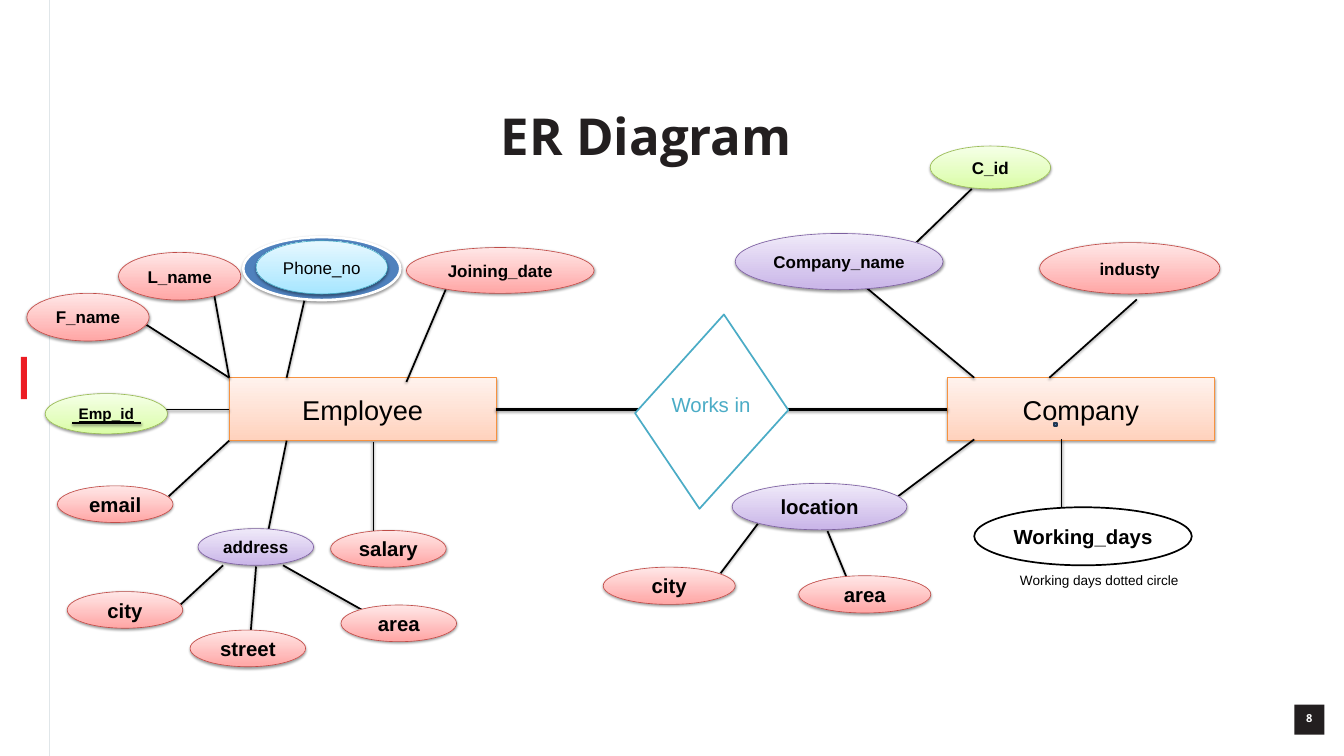
"""Build the employee and company ER diagram slide."""
from pptx import Presentation
from pptx.dml.color import RGBColor
from pptx.enum.shapes import MSO_CONNECTOR, MSO_SHAPE
from pptx.enum.text import MSO_ANCHOR, PP_ALIGN
from pptx.oxml import parse_xml
from pptx.util import Inches, Pt

RECTANGLE, OVAL = MSO_SHAPE.RECTANGLE, MSO_SHAPE.OVAL
PARALLELOGRAM, STRAIGHT = MSO_SHAPE.PARALLELOGRAM, MSO_CONNECTOR.STRAIGHT
TOP, MIDDLE = MSO_ANCHOR.TOP, MSO_ANCHOR.MIDDLE
LEFT, CENTER = PP_ALIGN.LEFT, PP_ALIGN.CENTER

NAMESPACE = "http://schemas.openxmlformats.org/drawingml/2006/main"
SHADOW = ('<a:outerShdw blurRad="40000" dist="20000" dir="5400000" rotWithShape="0">'
          '<a:srgbClr val="000000"><a:alpha val="38000"/></a:srgbClr></a:outerShdw>')

ENTITY = (("FFD2BD", "FFF2ED"), "F69240", 0.75)
SIMPLE = (("FFA6A5", "FFE7E7"), "BF4C48", 0.75)
COMPOSITE = (("C9B5E8", "F0EAF9"), "7D60A0", 0.75)
KEY = (("DAFDA7", "F5FFE7"), "98B955", 0.75)
MULTIVALUED = (("A7E6FF", "E7F8FF"), "46AAC5", 0.75)
MULTIVALUED_RING = ("4F81BD", "FFFFFF", 3)
DERIVED = ("FFFFFF", "000000", 2)
RELATIONSHIP = ("FFFFFF", "4BACC6", 2)

ENTITIES = [("Employee", 3.75), ("Company", 15.5)]
ATTRIBUTES = [
    ("F_name", SIMPLE, 0.44, 4.8, 2, 0.78, 20),
    ("L_name", SIMPLE, 1.94, 4.13, 2, 0.78, 20),
    ("Joining_date", SIMPLE, 6.65, 4.05, 3.07, 0.75, 20),
    ("Emp_id", KEY, 0.74, 6.44, 2, 0.66, 18),
    ("email", SIMPLE, 0.94, 7.95, 1.89, 0.6, 24),
    ("address", COMPOSITE, 3.24, 8.65, 1.89, 0.6, 20),
    ("salary", SIMPLE, 5.41, 8.68, 1.89, 0.6, 24),
    ("city", SIMPLE, 1.1, 9.68, 1.89, 0.6, 24),
    ("street", SIMPLE, 3.11, 10.31, 1.89, 0.6, 24),
    ("area", SIMPLE, 5.58, 9.9, 1.89, 0.6, 24),
    ("C_id", KEY, 15.22, 2.39, 1.97, 0.7, 20),
    ("Company_name", COMPOSITE, 12.03, 3.82, 3.4, 0.92, 20),
    ("industy", SIMPLE, 17.01, 3.97, 2.95, 0.84, 20),
    ("location", COMPOSITE, 11.98, 7.91, 2.86, 0.76, 24),
    ("city", SIMPLE, 9.87, 9.28, 2.16, 0.61, 24),
    ("area", SIMPLE, 13.07, 9.42, 2.16, 0.61, 24),
]
ATTRIBUTE_LINKS = [
    (3.75, 6.7, 2.44, 6.7), (3.75, 6.18, 2.31, 5.26), (3.5, 4.8, 3.75, 6.18),
    (3.75, 7.21, 2.74, 8.14), (5, 4.83, 4.69, 6.18), (4.69, 7.21, 4.37, 8.78),
    (6.11, 7.23, 6.11, 8.78), (7.3, 4.72, 6.65, 6.25), (3.65, 9.25, 2.74, 10.09),
    (4.19, 9.27, 4.08, 10.61), (4.63, 9.25, 6.12, 10.09), (14.19, 4.72, 15.94, 6.18),
    (14.52, 8.25, 15.94, 7.19), (17.17, 6.18, 18.6, 4.9), (17.37, 8.3, 17.37, 7.19),
    (12.4, 8.57, 11.64, 9.58), (13.54, 8.69, 13.91, 9.59), (15.9, 3.09, 14.99, 3.97),
]


def color(value):
    """Turn a hex string into a colour."""
    return RGBColor.from_string(value)


def assign(target, values):
    """Set each attribute named in a dict."""
    for name, value in values.items():
        setattr(target, name, value)


class Diagram:
    """Hold the style and the current slide."""

    font = "Arial"
    ink = "000000"

    def __init__(self, slide):
        """Keep the slide to draw on."""
        self.slide = slide

    def effects(self, element, shadow):
        """Give a shape or connector a soft shadow, or none."""
        content = SHADOW if shadow else ""
        element._element.spPr.append(parse_xml(
            f'<a:effectLst xmlns:a="{NAMESPACE}">{content}</a:effectLst>'))

    def set_text(self, shape, text, size, ink=ink, font=font, align=LEFT,
                 anchor=TOP, margins=(0, 0, 0, 0), wrap=False, **styles):
        """Put one formatted paragraph into a shape."""
        left, top, right, bottom = map(Inches, margins)
        frame = shape.text_frame
        assign(frame, {"margin_left": left, "margin_top": top, "margin_right": right,
                       "margin_bottom": bottom, "vertical_anchor": anchor,
                       "word_wrap": wrap})
        paragraph = frame.paragraphs[0]
        paragraph.alignment = align
        run = paragraph.add_run()
        run.text = text
        assign(run.font, {"name": font, "size": Pt(size), **styles})
        run.font.color.rgb = color(ink)

    def title(self, text, box, **styles):
        """Move and fill the title placeholder."""
        shape = self.slide.shapes.title
        assign(shape, dict(zip(("left", "top", "width", "height"), map(Inches, box))))
        self.set_text(shape, text, **styles)

    def label(self, text, box, **styles):
        """Add a text box."""
        self.set_text(self.slide.shapes.add_textbox(*map(Inches, box)), text, **styles)

    def shape(self, preset, box, style, shadow=False):
        """Add a preset shape with a plain or gradient fill."""
        fill, outline, weight = style
        shape = self.slide.shapes.add_shape(preset, *map(Inches, box))
        if isinstance(fill, tuple):
            shape.fill.gradient()
            shape.fill.gradient_angle = 90
            for stop, value in zip(shape.fill.gradient_stops, fill):
                stop.color.rgb = color(value)
        else:
            shape.fill.solid()
            shape.fill.fore_color.rgb = color(fill)
        if outline:
            shape.line.color.rgb = color(outline)
            shape.line.width = Pt(weight)
        else:
            shape.line.fill.background()
        self.effects(shape, shadow)
        return shape

    def node(self, preset, text, box, style, size, shadow=True, **styles):
        """Add a shape with a centred name."""
        shape = self.shape(preset, box, style, shadow)
        self.set_text(shape, text, size, align=CENTER, anchor=MIDDLE, **styles)

    def line(self, ends, weight=2, ink=ink, shadow=True):
        """Add a straight connector."""
        connector = self.slide.shapes.add_connector(STRAIGHT, *map(Inches, ends))
        connector.line.color.rgb = color(ink)
        connector.line.width = Pt(weight)
        self.effects(connector, shadow)


presentation = Presentation()
assign(presentation, {"slide_width": Inches(21.99), "slide_height": Inches(12.37)})
diagram = Diagram(presentation.slides.add_slide(presentation.slide_layouts[5]))

diagram.line((0.8, 0, 0.8, 12.37), 0.82, "E0E6E9", shadow=False)
diagram.shape(RECTANGLE, (0.34, 5.84, 0.1, 0.69), ("EC1C23", None, 0))
diagram.title("ER Diagram", (3.5, 1.69, 11.79, 1.03), size=60, ink="231F20",
              font="Open Sans", align=CENTER, margins=(2.36, 0.02, 0, 0),
              wrap=True, bold=True)
diagram.shape(RECTANGLE, (21.18, 11.53, 0.49, 0.49), ("231F20", None, 0))
diagram.label("8", (21.33, 11.63, 0.29, 0.27), size=13, ink="FFFFFF",
              font="Open Sans", margins=(0.04, 0.01, 0, 0), wrap=True, bold=True)

for name, left in ENTITIES:
    diagram.node(RECTANGLE, name, (left, 6.18, 4.37, 1.03), ENTITY, 32)
for ends in ATTRIBUTE_LINKS:
    diagram.line(ends)
for name, style, *box, size in ATTRIBUTES:
    diagram.node(OVAL, name, box, style, size, bold=True, underline=name == "Emp_id")
diagram.line((1.18, 6.92, 2.31, 6.92), 3)

diagram.shape(OVAL, (3.98, 3.88, 2.57, 1.03), MULTIVALUED_RING, shadow=True)
diagram.node(OVAL, "Phone_no", (4.19, 3.94, 2.15, 0.87), MULTIVALUED, 20)
diagram.node(OVAL, "Working_days", (15.94, 8.3, 3.56, 0.95), DERIVED, 24,
             shadow=False, bold=True)
diagram.label("Working days dotted circle", (16.59, 9.31, 4.81, 0.37), size=16,
              margins=(0.1, 0.05, 0.1, 0.05), wrap=True)
diagram.shape(RECTANGLE, (17.24, 6.92, 0.05, 0.05), ("4F81BD", "233953", 2))

diagram.line((8.11, 6.7, 15.5, 6.7), 3)
works_in = diagram.shape(PARALLELOGRAM, (10.33, 5.82, 2.63, 1.83), RELATIONSHIP)
works_in.rotation = 312
diagram.label("Works in", (10.89, 6.37, 1.83, 0.5), size=24, ink="4BACC6",
              margins=(0.1, 0.05, 0.1, 0.05), wrap=True)

presentation.save("out.pptx")
